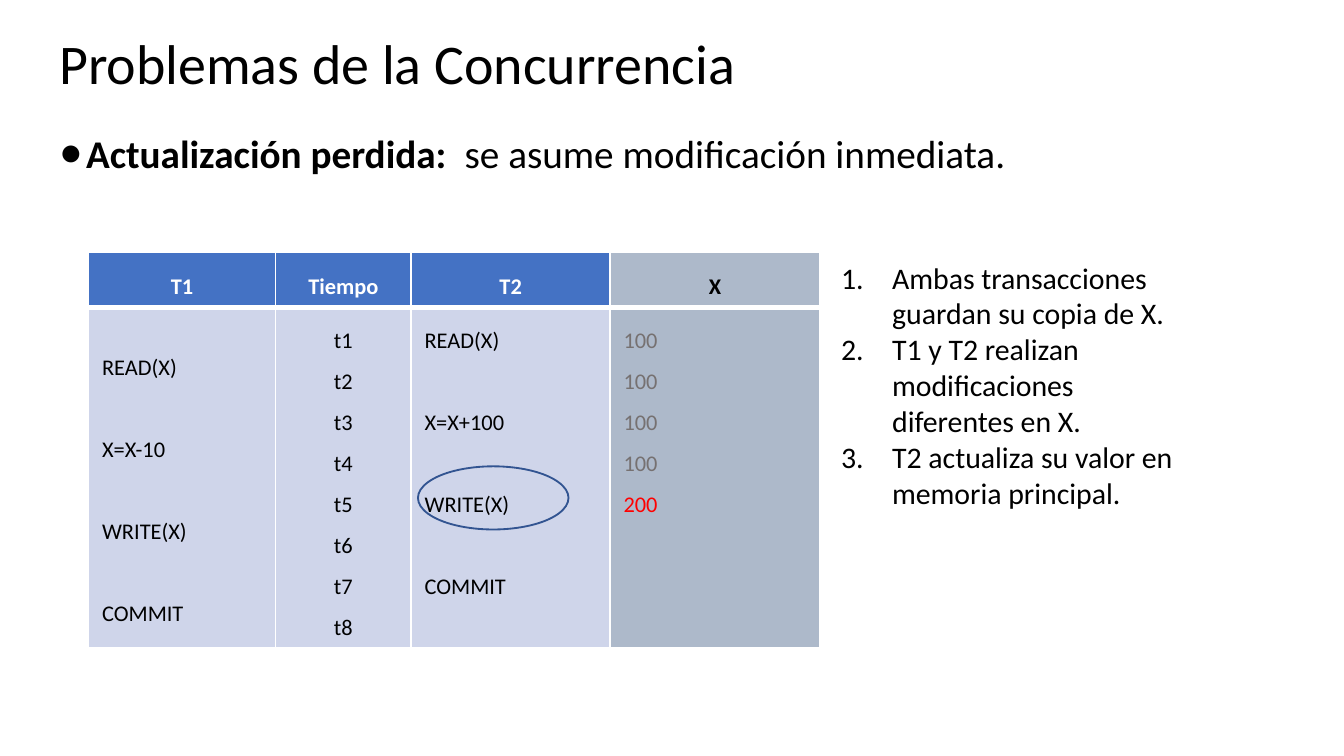
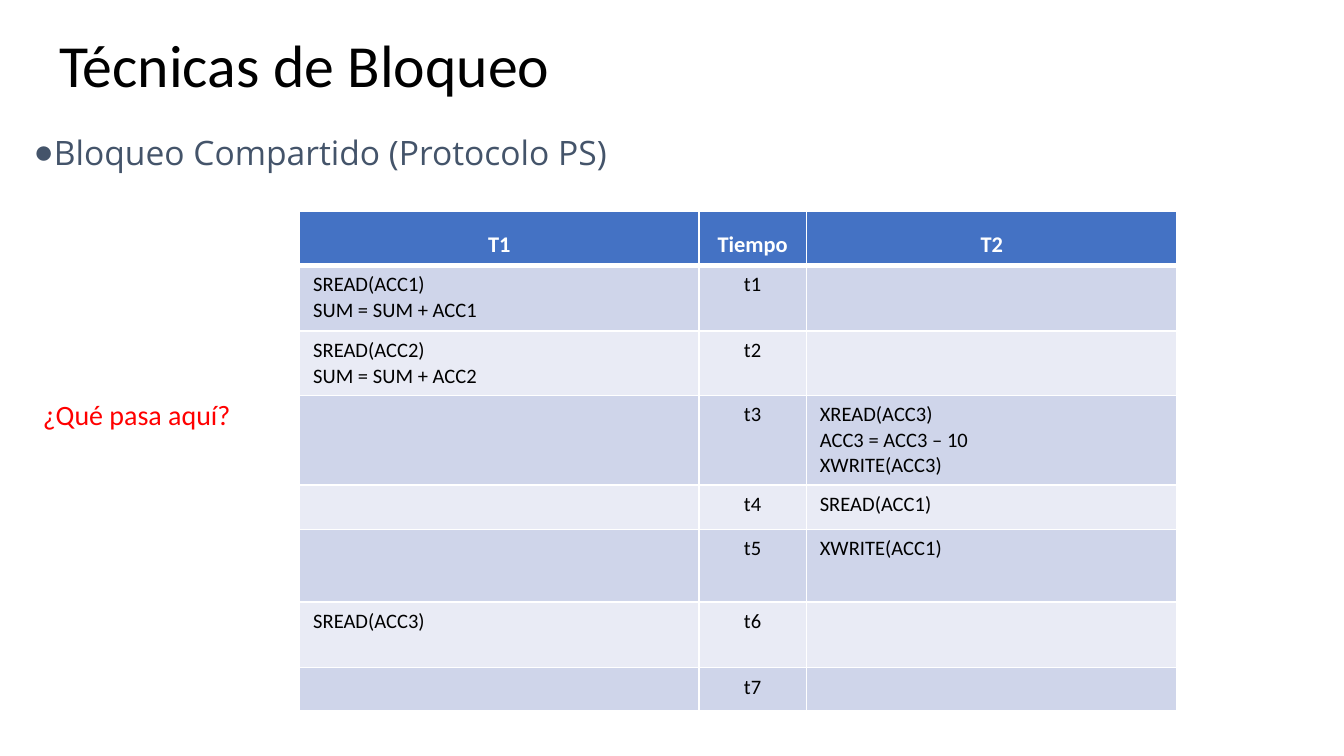
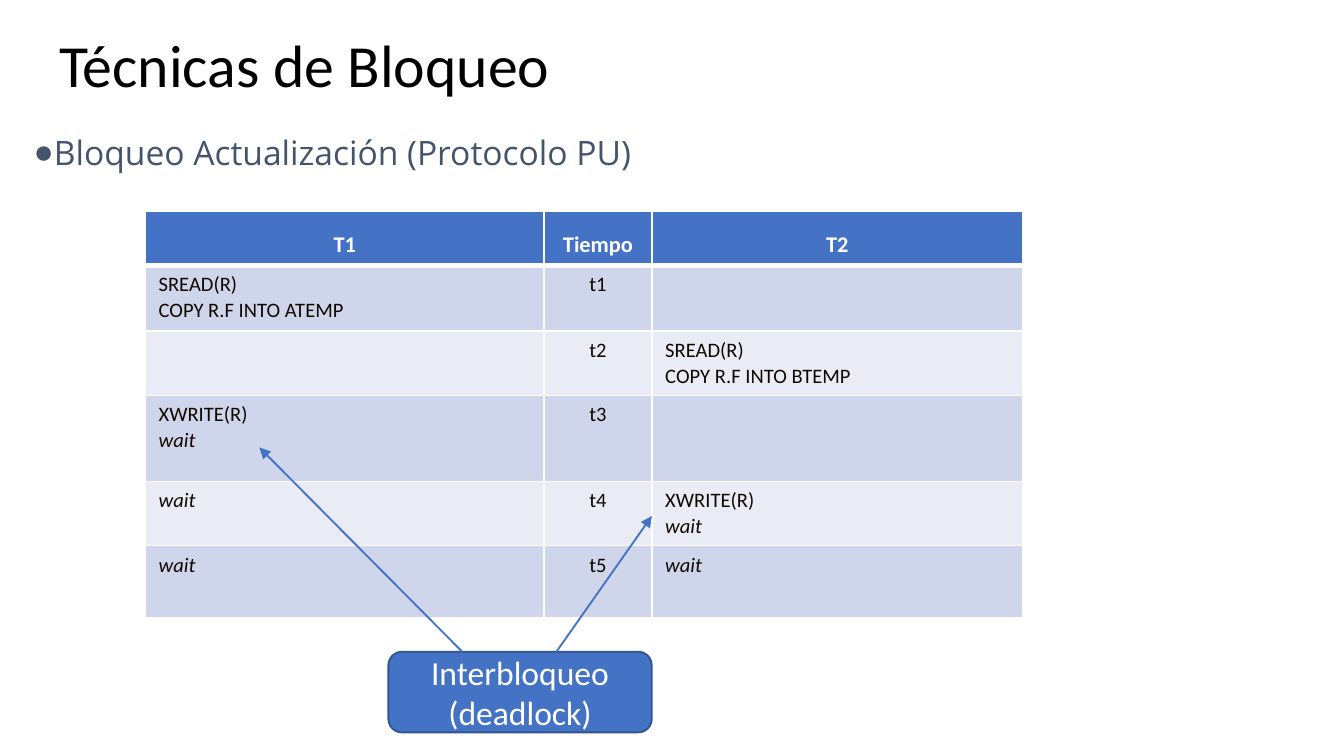
"""Build three slides on transaction concurrency and locking techniques."""
from dataclasses import dataclass
from typing import NamedTuple

from lxml import etree
from pptx import Presentation
from pptx.dml.color import RGBColor
from pptx.enum.shapes import MSO_CONNECTOR, MSO_SHAPE
from pptx.enum.text import MSO_ANCHOR, MSO_AUTO_SIZE, PP_ALIGN
from pptx.oxml.ns import qn
from pptx.util import Inches, Pt

LEFT, CENTER = PP_ALIGN.LEFT, PP_ALIGN.CENTER
TOP, MIDDLE = MSO_ANCHOR.TOP, MSO_ANCHOR.MIDDLE
NO_FIT, GROW = MSO_AUTO_SIZE.NONE, MSO_AUTO_SIZE.SHAPE_TO_FIT_TEXT
ELLIPSE, ROUNDED = MSO_SHAPE.OVAL, MSO_SHAPE.ROUNDED_RECTANGLE
STRAIGHT = MSO_CONNECTOR.STRAIGHT

SLIDE_WIDTH = Inches(10)
SLIDE_HEIGHT = SLIDE_WIDTH * 9 // 16
GRID_COLUMNS = 100
MODULE = SLIDE_WIDTH / GRID_COLUMNS

COLORS = {
    "black": "000000", "ink": "100700", "white": "FFFFFF", "blue": "4472C4",
    "navy": "325491", "slate": "ADB9CA", "heading": "44546A", "gray": "767171",
    "red": "FF0000", "band": "CFD5EA", "pale band": "E9EBF5",
}
BODY_FONT, HEADING_FONT = "Calibri", "Open Sans"
ITALIC_WAIT = {"wait": {"italic": True}}


class Box(NamedTuple):
    """Left, top, width and height in grid modules."""
    left: float
    top: float
    width: float
    height: float


@dataclass(frozen=True)
class Bullet:
    """List marker with its indents in grid modules."""
    margin: float
    indent: float
    symbol: str = ""


@dataclass(frozen=True)
class Column:
    """Table column with the look of its cells."""
    title: str
    width: float
    align: PP_ALIGN = LEFT
    gap: float = 0
    inset: float = 0.5
    fill: str = ""
    title_color: str = "white"
    color: str = ""


@dataclass(frozen=True)
class Row:
    """Table row with one text for each column."""
    height: float
    cells: tuple


@dataclass(frozen=True)
class Schedule:
    """Timetable of the operations of the transactions."""
    left: float
    top: float
    columns: tuple
    rows: tuple
    header_height: float = 3.9
    size: float = 11
    line_spacing: float = 1
    color: str = "black"
    accents: dict | None = None


TITLE_BOX = Box(3.4, 1.7, 93.2, 6.9)
CONTENT_BOX = Box(3.4, 8.6, 93.2, 41.3)
SUBTITLE_BOX = Box(1.5, 7.3, 93.2, 8.3)
ROUND_BULLET = Bullet(2, -2.8, "●")
SUBTITLE_BULLET = Bullet(0.4, -2.8, "●")
NUMBERING = Bullet(3.8, -3.8)

LOST_UPDATE = Schedule(
    6.6, 18.8,
    (
        Column("T1", 13.9, gap=22, inset=2.5),
        Column("Tiempo", 10.1, CENTER),
        Column("T2", 14.8, gap=22),
        Column("X", 15.6, fill="slate", title_color="black", color="gray"),
    ),
    (
        Row(20.6, (
            "READ(X)\nX=X-10\nWRITE(X)\nCOMMIT",
            "\n".join(f"t{step}" for step in range(1, 9)),
            "READ(X)\nX=X+100\nWRITE(X)\nCOMMIT",
            "100\n100\n100\n100\n200",
        )),
    ),
    header_height=3.5, size=12, line_spacing=1.5,
    accents={"200": {"color": "red"}},
)
LOCK_COLUMNS = (Column("T1", 29.7), Column("Tiempo", 8, CENTER), Column("T2", 27.6))
SHARED_LOCK = Schedule(22.3, 15.7, LOCK_COLUMNS, (
    Row(4.9, ("SREAD(ACC1)\nSUM = SUM + ACC1", "t1", "")),
    Row(4.6, ("SREAD(ACC2)\nSUM = SUM + ACC2", "t2", "")),
    Row(6.4, ("", "t3", "XREAD(ACC3)\nACC3 = ACC3 – 10\nXWRITE(ACC3)")),
    Row(3.3, ("", "t4", "SREAD(ACC1)")),
    Row(5.4, ("", "t5", "XWRITE(ACC1)")),
    Row(4.9, ("SREAD(ACC3)", "t6", "")),
    Row(3.2, ("", "t7", "")),
))
UPDATE_LOCK = Schedule(10.8, 15.7, LOCK_COLUMNS, (
    Row(4.9, ("SREAD(R)\nCOPY R.F INTO ATEMP", "t1", "")),
    Row(4.6, ("", "t2", "SREAD(R)\nCOPY R.F INTO BTEMP")),
    Row(6.4, ("XWRITE(R)\nwait", "t3", "")),
    Row(3.3, ("wait", "t4", "XWRITE(R)\nwait")),
    Row(5.4, ("wait", "t5", "wait")),
), color="ink", accents=ITALIC_WAIT)


def grid(modules: float) -> int:
    """Turn grid modules into a length."""
    return round(modules * MODULE)


def place(box: Box) -> list[int]:
    """Turn a box into four lengths."""
    return [grid(side) for side in box]


def rgb(name: str) -> RGBColor:
    """Look up a named colour."""
    return RGBColor.from_string(COLORS[name])


def add_bullet(para, bullet: Bullet, color: str) -> None:
    """Give a paragraph a symbol or a number."""
    properties = para._p.get_or_add_pPr()
    properties.set("marL", str(grid(bullet.margin)))
    properties.set("indent", str(grid(bullet.indent)))
    marker_color = etree.SubElement(properties, qn("a:buClr"))
    etree.SubElement(marker_color, qn("a:srgbClr"), val=COLORS[color])
    if bullet.symbol:
        etree.SubElement(properties, qn("a:buChar"), char=bullet.symbol)
    else:
        etree.SubElement(properties, qn("a:buAutoNum"), type="arabicPeriod")


def write(frame, text: str, *, size: float, color: str = "black",
          font: str = BODY_FONT, bold: bool = False, align: PP_ALIGN = LEFT,
          line_spacing: float = 1, gap: float = 0, bullet: Bullet | None = None,
          accents: dict | None = None) -> None:
    """Write lines as paragraphs, and parts split by bars as spans."""
    for index, line in enumerate(text.split("\n")):
        para = frame.add_paragraph() if index else frame.paragraphs[0]
        para.alignment = align
        para.line_spacing = line_spacing
        para.space_before = Pt(gap if index else 0)
        if bullet:
            add_bullet(para, bullet, color)
        if not line:
            etree.SubElement(para._p, qn("a:endParaRPr"), sz=str(size * 100))
            continue
        for part in line.split("|"):
            accent = (accents or {}).get(part, {})
            span = para.add_run()
            span.text = part
            span.font.name = font
            span.font.size = Pt(size)
            span.font.bold = accent.get("bold", bold)
            span.font.italic = accent.get("italic", False)
            span.font.color.rgb = rgb(accent.get("color", color))


def fill_placeholder(holder, box: Box, text: str, **look) -> None:
    """Move a placeholder and write its text."""
    holder.left, holder.top, holder.width, holder.height = place(box)
    frame = holder.text_frame
    frame.word_wrap = True
    frame.auto_size = NO_FIT
    frame.vertical_anchor = TOP
    frame.margin_left = frame.margin_right = grid(1)
    frame.margin_top = frame.margin_bottom = grid(1)
    write(frame, text, **look)


def add_page(deck, title: str, title_size: float, body_box: Box, body: str, **look):
    """Add a slide with its title and body."""
    page = deck.slides.add_slide(deck.slide_layouts[1])
    fill_placeholder(page.shapes.title, TITLE_BOX, title,
                     size=title_size, line_spacing=0.9)
    fill_placeholder(page.placeholders[1], body_box, body, **look)
    return page


def add_lock_page(deck, subtitle: str):
    """Add a slide on a locking protocol."""
    return add_page(deck, "Técnicas de Bloqueo", 32, SUBTITLE_BOX, subtitle,
                    size=18, font=HEADING_FONT, color="heading",
                    line_spacing=1.5, bullet=SUBTITLE_BULLET)


def add_text_box(page, box: Box, text: str, wrap: bool, **look) -> None:
    """Add a text box that grows with its text."""
    frame = page.shapes.add_textbox(*place(box)).text_frame
    frame.word_wrap = wrap
    frame.auto_size = GROW
    write(frame, text, **look)


def style_cell(cell, fill: str, bottom_width: float = 1) -> None:
    """Give a cell white borders and a fill."""
    properties = cell._tc.get_or_add_tcPr()
    for side, width in (("L", 1), ("R", 1), ("T", 1), ("B", bottom_width)):
        border = etree.SubElement(properties, qn(f"a:ln{side}"), w=str(Pt(width)))
        paint = etree.SubElement(border, qn("a:solidFill"))
        etree.SubElement(paint, qn("a:srgbClr"), val=COLORS["white"])
    cell.fill.solid()
    cell.fill.fore_color.rgb = rgb(fill)


def add_schedule(page, schedule: Schedule) -> None:
    """Draw a schedule as a table."""
    heights = [schedule.header_height, *(row.height for row in schedule.rows)]
    widths = [column.width for column in schedule.columns]
    box = Box(schedule.left, schedule.top, sum(widths), sum(heights))
    table = page.shapes.add_table(len(heights), len(widths), *place(box)).table
    table.horz_banding = False
    for index, height in enumerate(heights):
        table.rows[index].height = grid(height)
    for position, column in enumerate(schedule.columns):
        table.columns[position].width = grid(column.width)
        header = table.cell(0, position)
        style_cell(header, column.fill or "blue", bottom_width=3)
        write(header.text_frame, column.title, size=12, color=column.title_color,
              bold=True, align=CENTER, line_spacing=1.5)
        for index, row in enumerate(schedule.rows, start=1):
            cell = table.cell(index, position)
            style_cell(cell, column.fill or ("band" if index % 2 else "pale band"))
            cell.margin_top = grid(column.inset)
            write(cell.text_frame, row.cells[position], size=schedule.size,
                  color=column.color or schedule.color, align=column.align,
                  line_spacing=schedule.line_spacing, gap=column.gap,
                  accents=schedule.accents)


def add_outline(page, kind: MSO_SHAPE, box: Box, fill: str = ""):
    """Add a preset shape with a navy outline."""
    shape = page.shapes.add_shape(kind, *place(box))
    shape.shadow.inherit = False
    if fill:
        shape.fill.solid()
        shape.fill.fore_color.rgb = rgb(fill)
    else:
        shape.fill.background()
    shape.line.color.rgb = rgb("navy")
    shape.line.width = Pt(1)
    return shape


def add_arrow(page, start: tuple, end: tuple) -> None:
    """Add a blue arrow between two grid points."""
    arrow = page.shapes.add_connector(STRAIGHT, *map(grid, start + end))
    arrow.line.color.rgb = rgb("blue")
    arrow.line.width = Pt(1)
    properties = arrow.element.spPr
    etree.SubElement(properties.find(qn("a:ln")), qn("a:tailEnd"), type="triangle")
    etree.SubElement(properties, qn("a:effectLst"))


def build_lost_update(deck) -> None:
    """Build the slide on lost updates."""
    page = add_page(deck, "Problemas de la Concurrencia", 30, CONTENT_BOX,
                    "Actualización perdida: | se asume modificación inmediata.",
                    size=21, bullet=ROUND_BULLET,
                    accents={"Actualización perdida: ": {"bold": True}})
    add_schedule(page, LOST_UPDATE)
    add_text_box(page, Box(61.6, 18.8, 26.8, 22.9),
                 "Ambas transacciones guardan su copia de X.\n"
                 "T1 y T2 realizan modificaciones diferentes en X.\n"
                 "T2 actualiza su valor en memoria principal.",
                 wrap=True, size=16, bullet=NUMBERING)
    add_outline(page, ELLIPSE, Box(31.1, 34.7, 11.2, 4.7))


def build_shared_lock(deck) -> None:
    """Build the slide on shared locks."""
    page = add_lock_page(deck, "Bloqueo Compartido (Protocolo PS)")
    add_schedule(page, SHARED_LOCK)
    add_text_box(page, Box(2.2, 29.1, 18.3, 3.5), "¿Qué pasa aquí?",
                 wrap=False, size=15, color="red")


def build_update_lock(deck) -> None:
    """Build the slide on update locks."""
    page = add_lock_page(deck, "Bloqueo Actualización (Protocolo PU)")
    add_schedule(page, UPDATE_LOCK)
    deadlock = add_outline(page, ROUNDED, Box(28.9, 48.5, 19.6, 6), fill="blue")
    deadlock.text_frame.word_wrap = True
    deadlock.text_frame.vertical_anchor = MIDDLE
    write(deadlock.text_frame, "Interbloqueo\n(deadlock)",
          size=18, color="white", align=CENTER)
    add_arrow(page, (34.4, 48.5), (19.3, 33.3))
    add_arrow(page, (41.4, 48.5), (48.5, 38.4))


def main() -> None:
    """Build and save the deck."""
    deck = Presentation()
    deck.slide_width, deck.slide_height = SLIDE_WIDTH, SLIDE_HEIGHT
    for build in (build_lost_update, build_shared_lock, build_update_lock):
        build(deck)
    deck.save("out.pptx")


if __name__ == "__main__":
    main()
